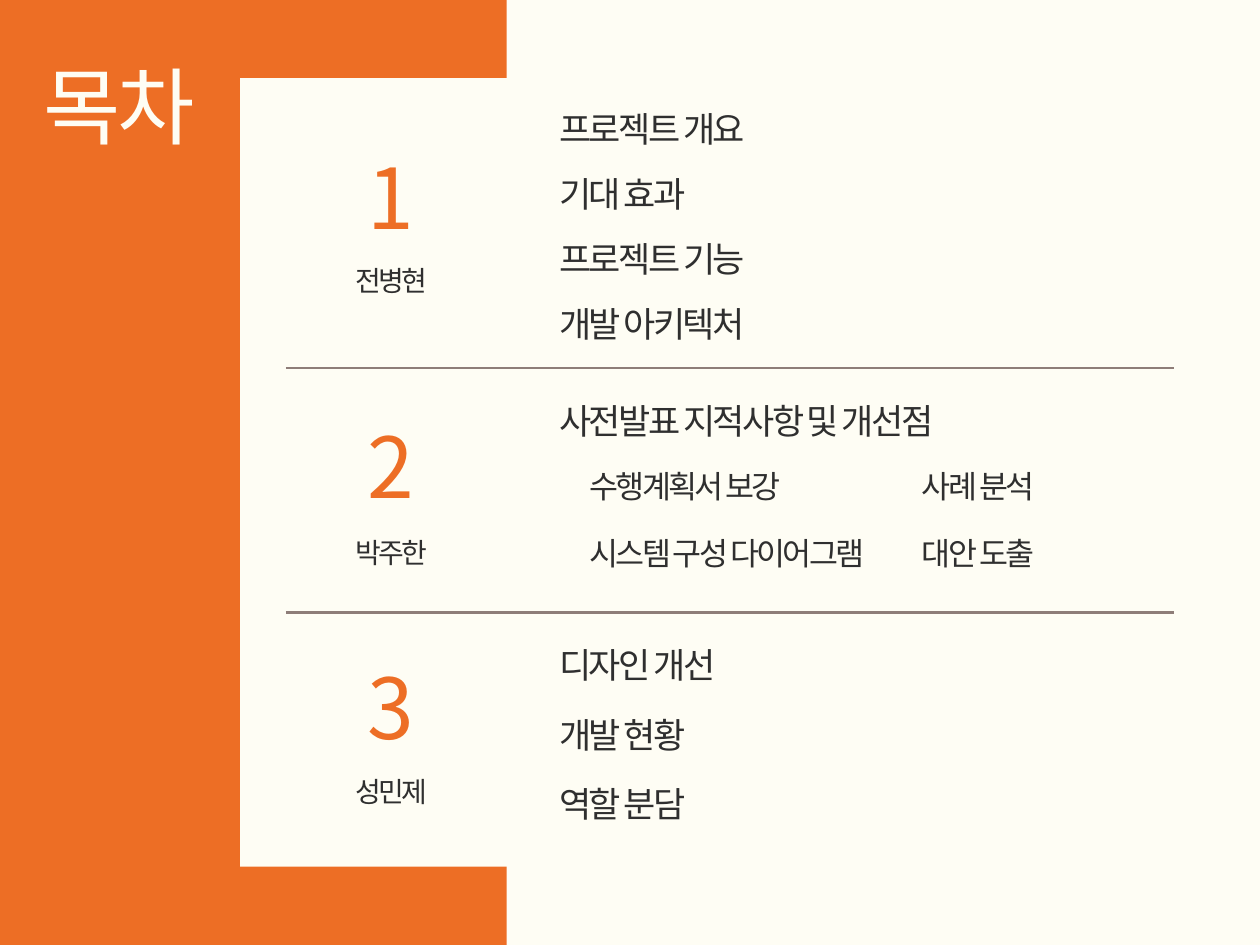
from lxml.etree import SubElement
from pptx import Presentation
from pptx.dml.color import RGBColor
from pptx.enum.shapes import MSO_CONNECTOR, MSO_SHAPE
from pptx.enum.text import MSO_ANCHOR, MSO_AUTO_SIZE, PP_ALIGN
from pptx.oxml.ns import qn
from pptx.util import Pt

FONT = "Noto Sans CJK KR"
ORANGE, CREAM, INK, TAUPE = "ED6E25", "FEFDF4", "2F2F2F", "8E7D78"


def paint(target, color):
    target.solid()
    target.fore_color.rgb = RGBColor.from_string(color)


def place(shape, left, top, width, height):
    shape.left, shape.top = Pt(left), Pt(top)
    shape.width, shape.height = Pt(width), Pt(height)


def span(text, size):
    """Width of a box that holds one line of Hangul, insets included."""
    gaps = text.count(" ")
    return 14.4 + size * (0.865 * (len(text) - gaps) + 0.25 * gaps)


def write(slide, text, left, top, size=20, color=INK, width=None,
          align=PP_ALIGN.LEFT, shape=None):
    shape = shape or slide.shapes.add_textbox(0, 0, 0, 0)
    place(shape, left, top, width or span(text, size), size * 1.21 + 7.4)
    frame = shape.text_frame
    frame.text = text
    frame.word_wrap = False
    frame.auto_size = MSO_AUTO_SIZE.SHAPE_TO_FIT_TEXT
    frame.vertical_anchor = MSO_ANCHOR.TOP
    par = frame.paragraphs[0]
    par.alignment = align
    run = par.runs[0]
    run.font.size, run.font.name = Pt(size), FONT
    run.font.color.rgb = RGBColor.from_string(color)
    props = run.font._element
    props.set("spc", "-150")
    SubElement(props, qn("a:ea"), typeface=FONT)


def panel(slide, left, top, width, height, color):
    shape = slide.shapes.add_shape(MSO_SHAPE.RECTANGLE, 0, 0, 0, 0)
    place(shape, left, top, width, height)
    shape.shadow.inherit = False
    paint(shape.fill, color)
    shape.line.fill.background()


def rule(slide, left, top, width):
    line = slide.shapes.add_connector(
        MSO_CONNECTOR.STRAIGHT, Pt(left), Pt(top), Pt(left + width), Pt(top))
    line.line.width = Pt(1.5)
    paint(line.line.fill, TAUPE)
    SubElement(line._element.spPr, qn("a:effectLst"))


def header(slide, left, top, width):
    title = slide.shapes.title
    slide.shapes._spTree.append(title._element)
    write(slide, "목차", left, top, size=48, color=CREAM, width=width,
          align=PP_ALIGN.CENTER, shape=title)


def badge(slide, left, top, number, name, gap):
    write(slide, number, left + 6.5, top, size=48, color=ORANGE, width=42.5,
          align=PP_ALIGN.CENTER)
    write(slide, name, left, top + gap, size=16)


def topics(slide, left, top, step, items):
    for row, item in enumerate(items):
        write(slide, item, left, top + row * step)


def details(slide, left, top, columns):
    for col, items in enumerate(columns):
        for row, item in enumerate(items):
            write(slide, item, left + col * 190, top + row * 38.2, size=18)


SECTIONS = [
    # number, name, badge top, name gap, list top, list step, topics
    ("1", "전병현", 79.9, 67, 57.6, 37.2,
     ["프로젝트 개요", "기대 효과", "프로젝트 기능", "개발 아키텍처"]),
    ("2", "박주한", 233.3, 69, 224.6, 0, ["사전발표 지적사항 및 개선점"]),
    ("3", "성민제", 370.8, 68.4, 364.3, 39.6,
     ["디자인 개선", "개발 현황", "역할 분담"]),
]
DETAILS = [["수행계획서 보강", "시스템 구성 다이어그램"],
           ["사례 분석", "대안 도출"]]


def main():
    deck = Presentation()
    deck.slide_width, deck.slide_height = Pt(720), Pt(540)
    slide = deck.slides.add_slide(deck.slide_layouts[5])
    paint(slide.background.fill, CREAM)
    panel(slide, 0, 0, 289.6, 540, ORANGE)
    panel(slide, 137.3, 44.7, 558.7, 450.5, CREAM)
    header(slide, 16.6, 27.4, 103)
    for number, name, high, gap, top, step, items in SECTIONS:
        badge(slide, 195.8, high, number, name, gap)
        topics(slide, 312.5, top, step, items)
    details(slide, 329.8, 263.5, DETAILS)
    for top in (210.2, 349.9):
        rule(slide, 163.4, top, 507.6)
    deck.save("out.pptx")


if __name__ == "__main__":
    main()
